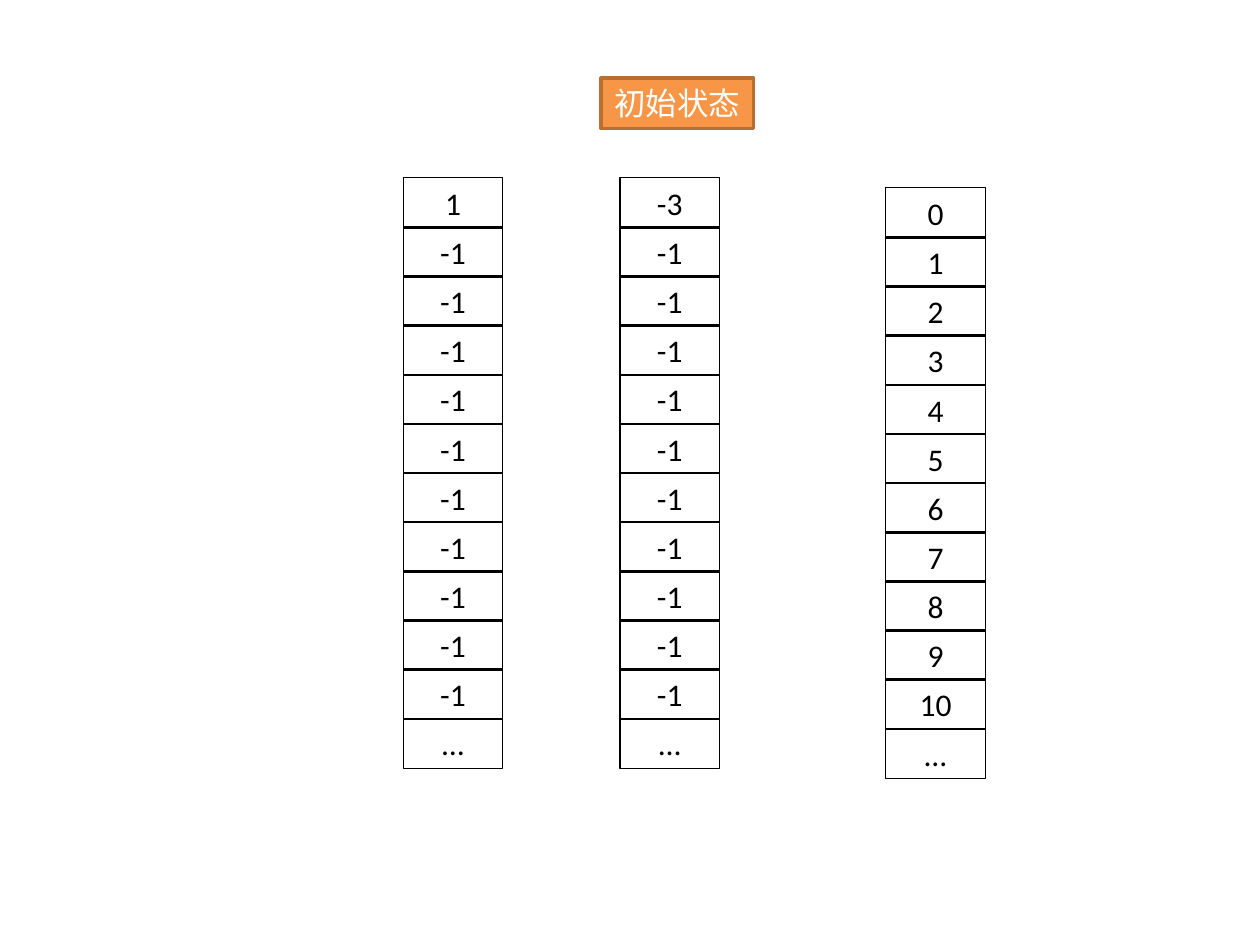
from dataclasses import dataclass

from pptx import Presentation
from pptx.dml.color import RGBColor as Rgb
from pptx.enum.shapes import MSO_SHAPE as Shape
from pptx.enum.text import MSO_ANCHOR as Anchor, MSO_AUTO_SIZE as AutoSize, PP_ALIGN as Align
from pptx.util import Inches, Pt


@dataclass(frozen=True)
class Theme:
    font: str = "Calibri"
    size: float = 18
    ink: str = "000000"
    heading_ink: str = "FFFFFF"
    heading_fill: str = "F79646"
    heading_line: str = "B76F34"
    thin: float = 0.75
    thick: float = 2


@dataclass(frozen=True)
class ArrayColumn:
    left: float
    top: float
    values: list[str]


THEME = Theme()
CELL_WIDTH, CELL_HEIGHT, ROW_PITCH = 0.79, 0.4, 0.39
UNSET = ["-1"] * 10

COLUMNS = [
    ArrayColumn(3.2, 1.41, ["1", *UNSET, "…"]),
    ArrayColumn(4.92, 1.41, ["-3", *UNSET, "…"]),
    ArrayColumn(7.03, 1.49, [*map(str, range(11)), "…"]),
]


def set_outline(box, colour: str, width: float) -> None:
    box.line.color.rgb = Rgb.from_string(colour)
    box.line.width = Pt(width)


def write(box, text: str, colour: str, wrap: bool, fit: AutoSize) -> None:
    frame = box.text_frame
    frame.word_wrap = wrap
    frame.auto_size = fit
    frame.vertical_anchor = Anchor.MIDDLE
    paragraph = frame.paragraphs[0]
    paragraph.alignment = Align.CENTER
    run = paragraph.add_run()
    run.text = text
    run.font.name = THEME.font
    run.font.size = Pt(THEME.size)
    run.font.color.rgb = Rgb.from_string(colour)


def draw_heading(slide, text: str) -> None:
    heading = slide.shapes.title
    heading.left, heading.top = Inches(4.77), Inches(0.62)
    heading.width, heading.height = Inches(1.21), Inches(0.4)
    heading.fill.solid()
    heading.fill.fore_color.rgb = Rgb.from_string(THEME.heading_fill)
    set_outline(heading, THEME.heading_line, THEME.thick)
    # A fixed size keeps the placeholder from growing to its layout height
    write(heading, text, THEME.heading_ink, wrap=False, fit=AutoSize.NONE)


def draw_column(slide, column: ArrayColumn) -> None:
    for row, value in enumerate(column.values):
        cell = slide.shapes.add_shape(
            Shape.RECTANGLE,
            Inches(column.left), Inches(column.top + row * ROW_PITCH),
            Inches(CELL_WIDTH), Inches(CELL_HEIGHT),
        )
        cell.shadow.inherit = False
        cell.fill.background()
        set_outline(cell, THEME.ink, THEME.thin)
        write(cell, value, THEME.ink, wrap=True, fit=AutoSize.SHAPE_TO_FIT_TEXT)


deck = Presentation()
deck.slide_width, deck.slide_height = Inches(10), Inches(7.5)
state_slide = deck.slides.add_slide(deck.slide_layouts.get_by_name("Title Only"))

# Heading
draw_heading(state_slide, "初始状态")

# Two state arrays and their index column
for array_column in COLUMNS:
    draw_column(state_slide, array_column)

deck.save("out.pptx")
